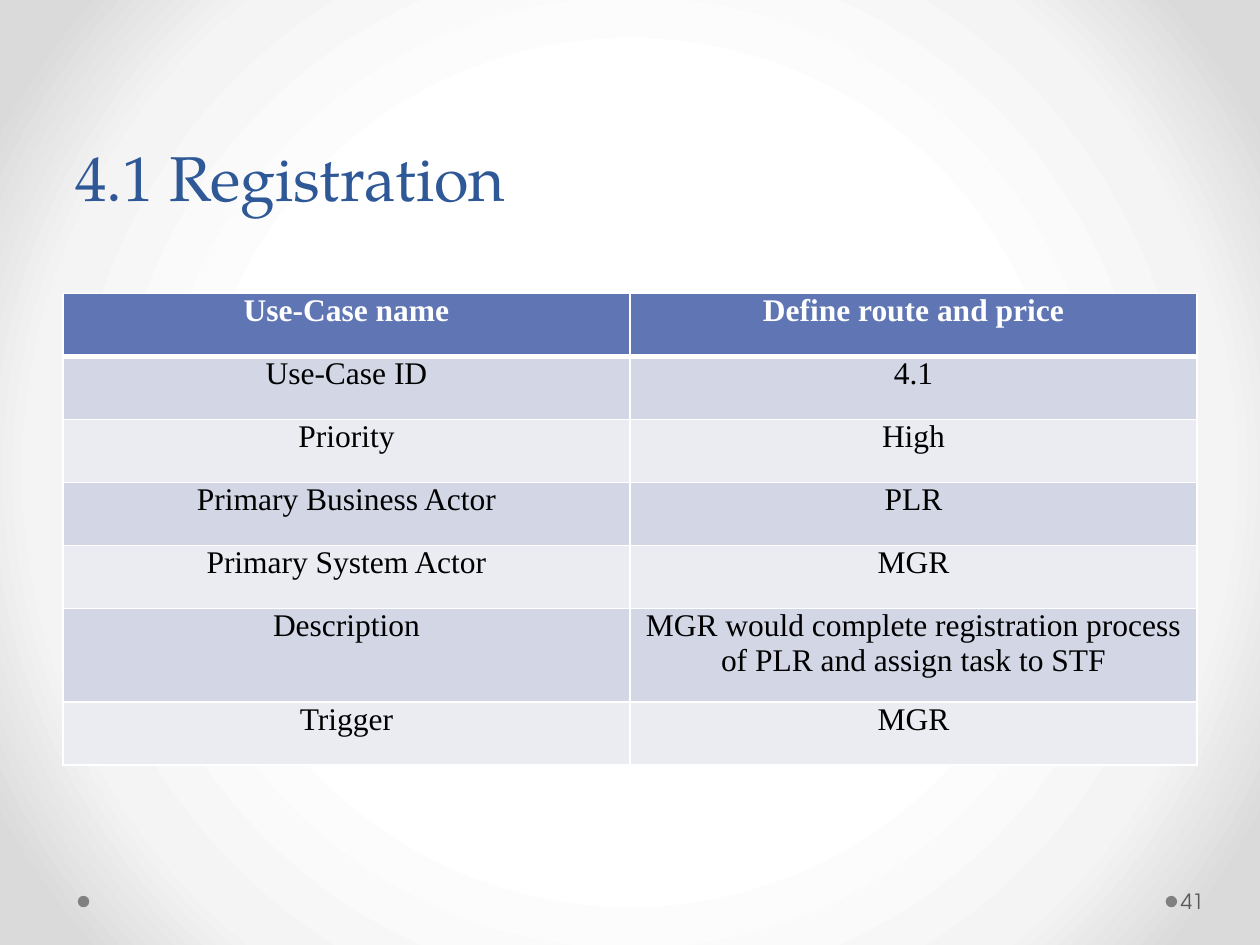
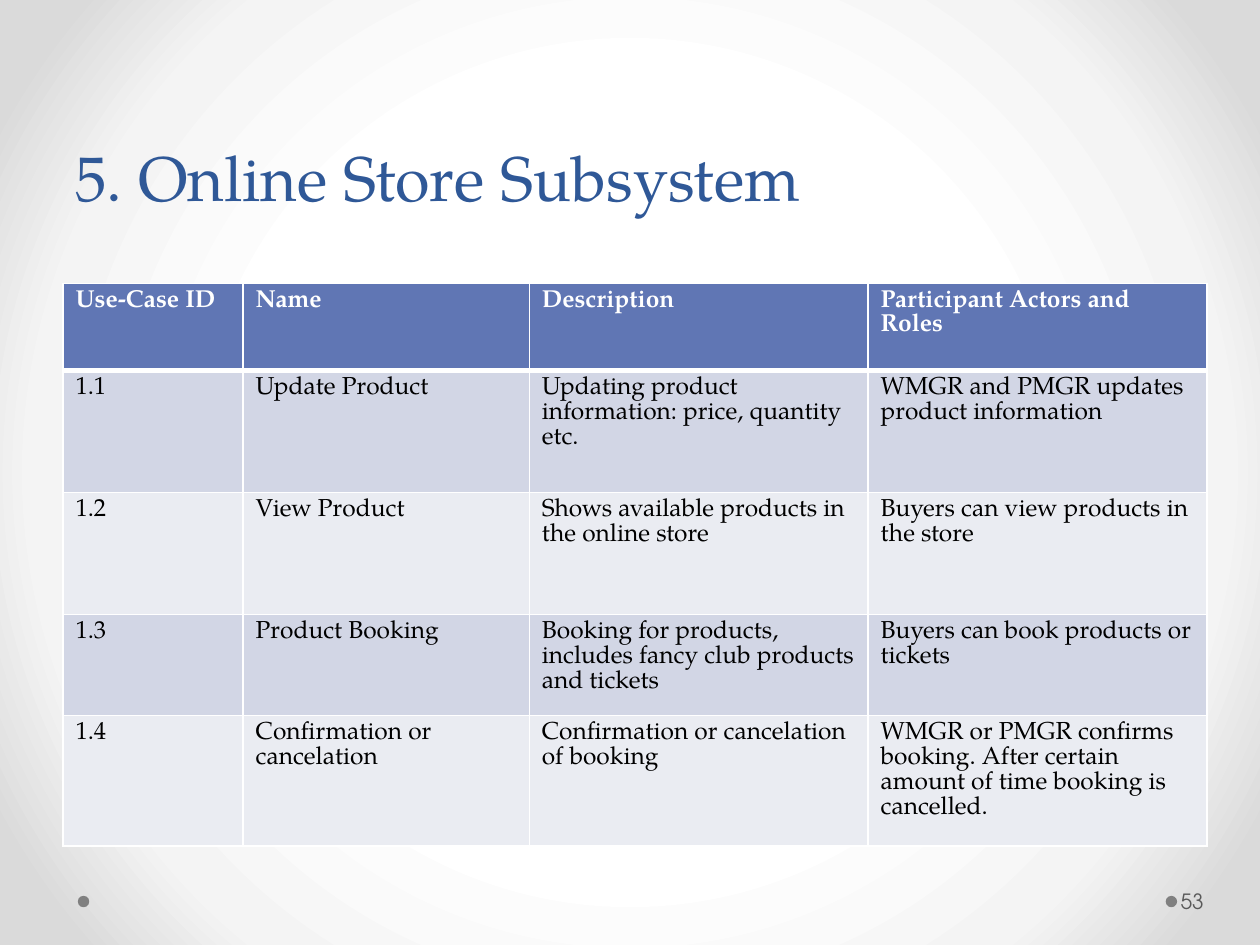
import pptx
import pptx.dml.color
import pptx.enum.shapes
import pptx.enum.text
import pptx.oxml
import pptx.oxml.ns
import pptx.util

Cm = pptx.util.Cm
Pt = pptx.util.Pt
RGBColor = pptx.dml.color.RGBColor
PP_ALIGN = pptx.enum.text.PP_ALIGN
MSO_ANCHOR = pptx.enum.text.MSO_ANCHOR

TITLE_BLUE = RGBColor(0x2F, 0x58, 0x97)
HEADER_BLUE = RGBColor(0x60, 0x76, 0xB4)
BAND_DARK = RGBColor(0xD2, 0xD6, 0xE5)
BAND_LIGHT = RGBColor(0xEA, 0xEC, 0xF2)
DOT_GREY = RGBColor(0x80, 0x80, 0x80)
NUMBER_GREY = RGBColor(0x59, 0x59, 0x59)
WHITE = RGBColor(0xFF, 0xFF, 0xFF)
BLACK = RGBColor(0, 0, 0)
GLOW_STOPS = [(50, WHITE), (76, RGBColor(0xF4, 0xF4, 0xF4)), (92, RGBColor(0xDA, 0xDA, 0xDA))]

SERIF = "TeX Gyre Pagella"
SANS = "TeX Gyre Adventor"
TIMES = "Times New Roman"

TITLE_FORMAT = {"name": SERIF, "size": Pt(36), "bold": False}
NUMBER_FORMAT = {"name": SANS, "size": Pt(12), "bold": False}
TITLE_FRAME = {"word_wrap": True, "vertical_anchor": MSO_ANCHOR.BOTTOM}
NUMBER_FRAME = {
    "word_wrap": True,
    "vertical_anchor": MSO_ANCHOR.MIDDLE,
    "margin_left": Cm(0.08),
    "margin_right": Cm(0.13),
    "margin_top": Cm(0.13),
    "margin_bottom": Cm(0.13),
}

SLIDES = [
    {
        "title": "4.1 Registration",
        "number": "41",
        "top": 5.92,
        "columns": [11.43, 11.43],
        "rows": [1.27, 1.27, 1.27, 1.27, 1.27, 1.88, 1.27],
        "font": {"name": TIMES, "size": Pt(18)},
        "align": PP_ALIGN.CENTER,
        "margins": {"margin_left": Cm(0.18), "margin_right": Cm(0.18), "margin_top": 0, "margin_bottom": 0},
        "cells": [
            ["Use-Case name", "Define route and price"],
            ["Use-Case ID", "4.1"],
            ["Priority", "High"],
            ["Primary Business Actor", "PLR"],
            ["Primary System Actor", "MGR"],
            ["Description", "MGR would complete registration process of PLR and assign task to STF"],
            ["Trigger", "MGR"],
        ],
    },
    {
        "title": "5. Online Store Subsystem",
        "number": "53",
        "top": 5.72,
        "columns": [3.63, 5.77, 6.83, 6.83],
        "rows": [1.75, 2.46, 2.46, 1.75, 2.46],
        "font": {"name": SERIF, "size": Pt(14)},
        "align": PP_ALIGN.LEFT,
        "margins": {},
        "cells": [
            ["Use-Case ID", "Name", "Description", "Participant Actors and Roles"],
            ["1.1", "Update Product", "Updating product information: price, quantity etc.",
             "WMGR and PMGR updates product information"],
            ["1.2", "View Product", "Shows available products in the online store",
             "Buyers can view products in the store"],
            ["1.3", "Product Booking", "Booking for products, includes fancy club products and tickets",
             "Buyers can book products or tickets"],
            ["1.4", "Confirmation or cancelation", "Confirmation or cancelation of booking",
             "WMGR or PMGR confirms booking. After certain amount of time booking is cancelled."],
        ],
    },
]


def write_text(frame, text, frame_format, font_format, color):
    for name, value in frame_format.items():
        setattr(frame, name, value)
    paragraph = frame.paragraphs[0]
    run = paragraph.add_run()
    run.text = text
    for name, value in font_format.items():
        setattr(run.font, name, value)
    run.font.color.rgb = color
    return paragraph


def add_borders(cell, row_index):
    widths = {
        "lnL": 1,
        "lnR": 1,
        "lnT": 3 if row_index == 1 else 1,
        "lnB": 3 if row_index == 0 else 1,
    }
    properties = cell._tc.get_or_add_tcPr()
    for tag, width in widths.items():
        properties.append(pptx.oxml.parse_xml(
            f'<a:{tag} {pptx.oxml.ns.nsdecls("a")} w="{Pt(width)}">'
            f'<a:solidFill><a:srgbClr val="{WHITE}"/></a:solidFill></a:{tag}>'
        ))


presentation = pptx.Presentation()
presentation.slide_width = Cm(25.4)
presentation.slide_height = Cm(19.05)

master = presentation.slide_master
master.background.fill.solid()
background = master.element.find(".//" + pptx.oxml.ns.qn("p:bgPr"))
stops = "".join(
    f'<a:gs pos="{position * 1000}"><a:srgbClr val="{color}"/></a:gs>' for position, color in GLOW_STOPS
)
background.replace(background[0], pptx.oxml.parse_xml(
    f'<a:gradFill {pptx.oxml.ns.nsdecls("a")} rotWithShape="1"><a:gsLst>{stops}</a:gsLst>'
    '<a:path path="circle"><a:fillToRect l="50000" t="50000" r="50000" b="50000"/></a:path></a:gradFill>'
))

for content in SLIDES:
    slide = presentation.slides.add_slide(presentation.slide_layouts[6])

    for dot_left in (23.5, 1.57):
        dot = slide.shapes.add_shape(
            pptx.enum.shapes.MSO_SHAPE.OVAL, Cm(dot_left), Cm(18.06), Cm(0.23), Cm(0.23)
        )
        dot.shadow.inherit = False
        dot.fill.solid()
        dot.fill.fore_color.rgb = DOT_GREY
        dot.line.fill.background()

    title = slide.shapes.add_textbox(Cm(1.27), 0, Cm(22.86), Cm(4.45))
    paragraph = write_text(title.text_frame, content["title"], TITLE_FRAME, TITLE_FORMAT, TITLE_BLUE)
    paragraph.line_spacing = Pt(58)

    table = slide.shapes.add_table(
        len(content["rows"]), len(content["columns"]), Cm(1.27), Cm(content["top"]),
        Cm(sum(content["columns"])), Cm(sum(content["rows"]))
    ).table
    for column, width in zip(table.columns, content["columns"]):
        column.width = Cm(width)
    for row_index, texts in enumerate(content["cells"]):
        is_header = row_index == 0
        table.rows[row_index].height = Cm(content["rows"][row_index])
        fill_color = HEADER_BLUE if is_header else (BAND_LIGHT, BAND_DARK)[row_index % 2]
        for column_index, text in enumerate(texts):
            cell = table.cell(row_index, column_index)
            for name, value in content["margins"].items():
                setattr(cell, name, value)
            add_borders(cell, row_index)
            cell.fill.solid()
            cell.fill.fore_color.rgb = fill_color
            font_format = {**content["font"], "bold": is_header}
            paragraph = write_text(cell.text_frame, text, {}, font_format, WHITE if is_header else BLACK)
            paragraph.alignment = content["align"]

    number = slide.shapes.add_textbox(Cm(23.72), Cm(17.65), Cm(1.55), Cm(1.02))
    write_text(number.text_frame, content["number"], NUMBER_FRAME, NUMBER_FORMAT, NUMBER_GREY)

presentation.save("out.pptx")
